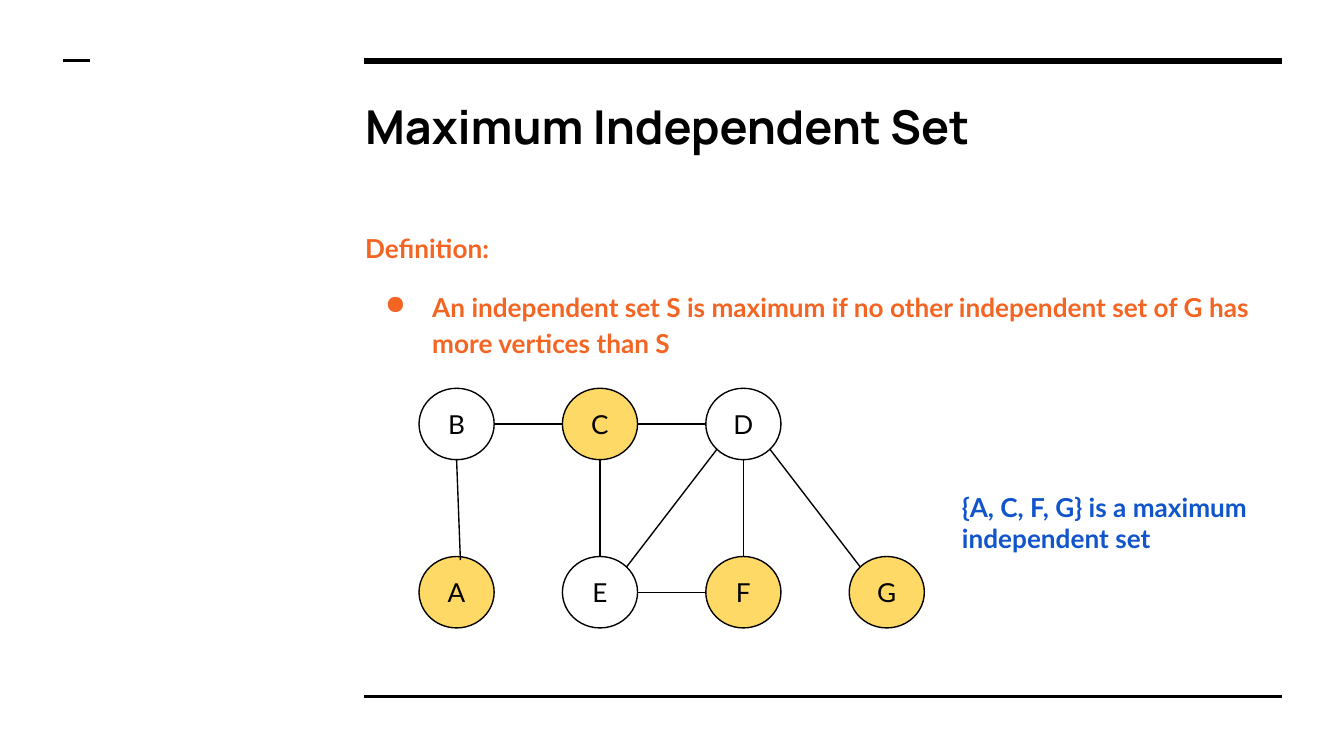
import pptx
import pptx.dml.color
import pptx.enum.shapes
import pptx.enum.text
import pptx.oxml
import pptx.oxml.ns
import pptx.util

Cm = pptx.util.Cm
Pt = pptx.util.Pt
ALIGN = pptx.enum.text.PP_ALIGN
ANCHOR = pptx.enum.text.MSO_ANCHOR
COLORS = {"black": "000000", "white": "FFFFFF", "orange": "F46524",
          "yellow": "FFD966", "blue": "1155CC"}

NODE_W, NODE_H = 1.42, 1.35
GRID_LEFT, GRID_TOP = 7.92, 7.34
COL_STEP, ROW_STEP = 2.71, 3.18
NODES = {
    "B": (0, 0, "white"), "C": (1, 0, "yellow"), "D": (2, 0, "white"),
    "A": (0, 1, "yellow"), "E": (1, 1, "white"), "F": (2, 1, "yellow"),
    "G": (3, 1, "yellow"),
}
SITES = {
    "top": (0.5, 0), "bottom": (0.5, 1), "left": (0, 0.5), "right": (1, 0.5),
    "top left": (0.15, 0.15), "top right": (0.85, 0.15),
    "bottom left": (0.15, 0.85), "bottom right": (0.85, 0.85),
    "inside top": (0.55, 0.05),
}
EDGES = [
    ("B", "right", "C", "left"),
    ("C", "right", "D", "left"),
    ("E", "right", "F", "left"),
    ("A", "inside top", "B", "bottom"),
    ("C", "bottom", "E", "top"),
    ("F", "top", "D", "bottom"),
    ("E", "top right", "D", "bottom left"),
    ("D", "bottom right", "G", "top left"),
]
RULES = [
    (6.88, 1.15, 24.23, 3),
    (6.88, 13.16, 24.23, 1.5),
    (1.19, 1.15, 1.7, 1.5),
]


def rgb(name):
    return pptx.dml.color.RGBColor.from_string(COLORS[name])


class Deck:
    heading = {"name": "Manrope", "size": Pt(25), "bold": True}
    strong = {"name": "Lato", "size": Pt(14), "bold": True}
    label = {"name": "Lato", "size": Pt(14), "bold": False}

    def __init__(self, width, height):
        self.prs = pptx.Presentation()
        self.prs.slide_width, self.prs.slide_height = Cm(width), Cm(height)
        self.s = self.prs.slides.add_slide(self.prs.slide_layouts[5])

    def run(self, p, text, style, color):
        r = p.add_run()
        r.text = text
        for key, value in style.items():
            setattr(r.font, key, value)
        r.font.color.rgb = rgb(color)

    def frame(self, sp, anchor):
        tf = sp.text_frame
        settings = {"word_wrap": True, "vertical_anchor": anchor,
                    "auto_size": pptx.enum.text.MSO_AUTO_SIZE.NONE}
        for side in ("left", "right", "top", "bottom"):
            settings["margin_" + side] = Cm(0.25)
        for key, value in settings.items():
            setattr(tf, key, value)
        return tf

    def title(self, text, left, top, width, height):
        sp = self.s.shapes.title
        sp.left, sp.top, sp.width, sp.height = map(Cm, (left, top, width, height))
        p = self.frame(sp, ANCHOR.TOP).paragraphs[0]
        p.alignment = ALIGN.LEFT
        self.run(p, text, self.heading, "black")

    def text(self, text, color, left, top, width, height):
        sp = self.s.shapes.add_textbox(*map(Cm, (left, top, width, height)))
        tf = self.frame(sp, ANCHOR.TOP)
        self.run(tf.paragraphs[0], text, self.strong, color)
        return tf

    def bullet(self, tf, text, color):
        p = tf.add_paragraph()
        p.space_before = Pt(12)
        self.run(p, text, self.strong, color)
        pPr = p._p.get_or_add_pPr()
        pPr.set("marL", str(Cm(1.27)))
        pPr.set("indent", str(Cm(-0.89)))
        bu = pptx.oxml.parse_xml(
            '<a:buChar %s char="●"/>' % pptx.oxml.ns.nsdecls("a"))
        pPr.append(bu)

    def line(self, x1, y1, x2, y2, weight=0.75):
        sp = self.s.shapes.add_connector(
            pptx.enum.shapes.MSO_CONNECTOR.STRAIGHT, *map(Cm, (x1, y1, x2, y2)))
        sp.line.color.rgb = rgb("black")
        sp.line.width = Pt(weight)
        sp._element.spPr.append(pptx.oxml.parse_xml(
            "<a:effectLst %s/>" % pptx.oxml.ns.nsdecls("a")))

    def node(self, name):
        left, top = self.site(name, (0, 0))
        sp = self.s.shapes.add_shape(
            pptx.enum.shapes.MSO_SHAPE.OVAL,
            *map(Cm, (left, top, NODE_W, NODE_H)))
        sp.shadow.inherit = False
        sp.fill.solid()
        sp.fill.fore_color.rgb = rgb(NODES[name][2])
        sp.line.color.rgb = rgb("black")
        sp.line.width = Pt(0.75)
        p = self.frame(sp, ANCHOR.MIDDLE).paragraphs[0]
        p.alignment = ALIGN.CENTER
        self.run(p, name, self.label, "black")

    def site(self, name, fraction):
        col, row, _ = NODES[name]
        return (GRID_LEFT + col * COL_STEP + fraction[0] * NODE_W,
                GRID_TOP + row * ROW_STEP + fraction[1] * NODE_H)

    def edge(self, start, start_site, end, end_site):
        self.line(*self.site(start, SITES[start_site]),
                  *self.site(end, SITES[end_site]))


def main():
    deck = Deck(25.4, 14.29)
    for x1, y, x2, weight in RULES:
        deck.line(x1, y, x2, y, weight)
    deck.title("Maximum Independent Set", 6.65, 1.6, 17.55, 1.75)
    tf = deck.text("Definition:", "orange", 6.65, 4.06, 18.11, 3.07)
    deck.bullet(tf, "An independent set S is maximum if no other independent "
                    "set of G has more vertices than S", "orange")
    for p in tf.paragraphs:
        p.line_spacing = 1.15
    for name in NODES:
        deck.node(name)
    for edge in EDGES:
        deck.edge(*edge)
    deck.text("{A, C, F, G} is a maximum independent set", "blue",
              17.93, 9.04, 7.75, 1.7)
    deck.prs.save("out.pptx")


if __name__ == "__main__":
    main()
